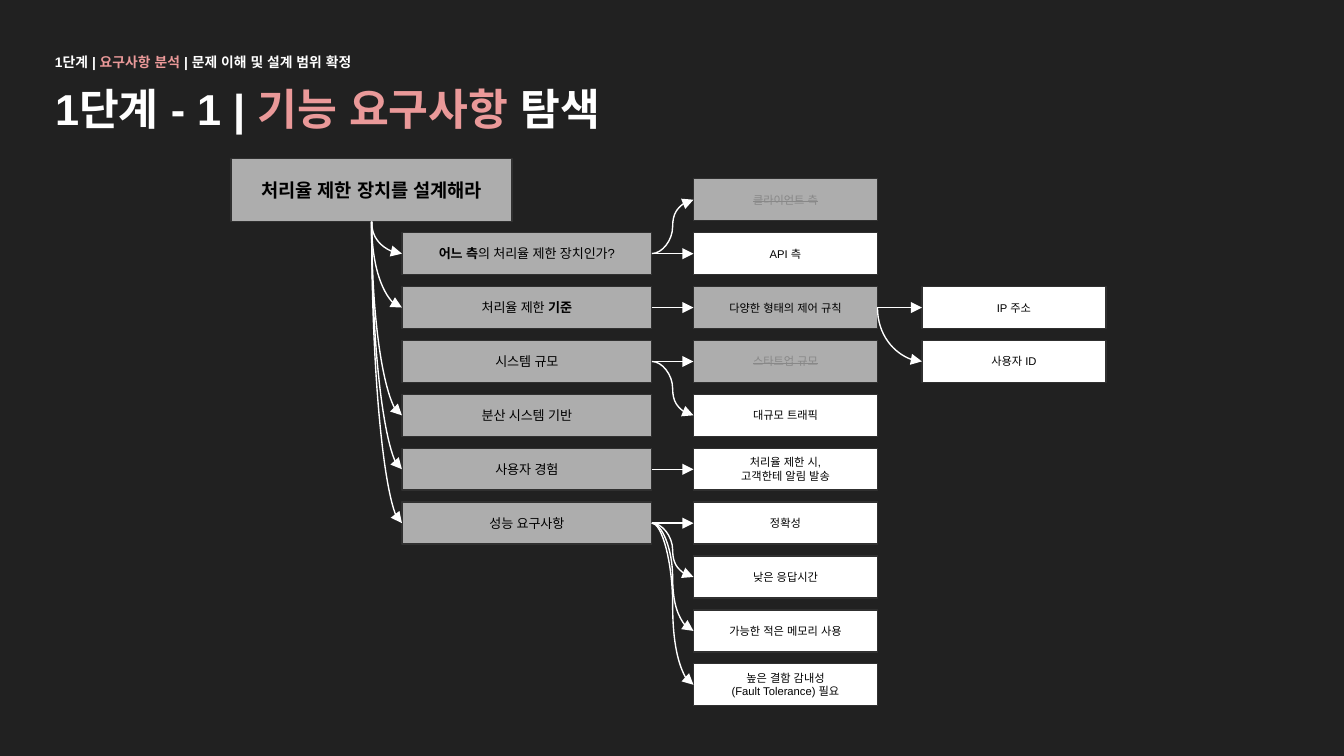
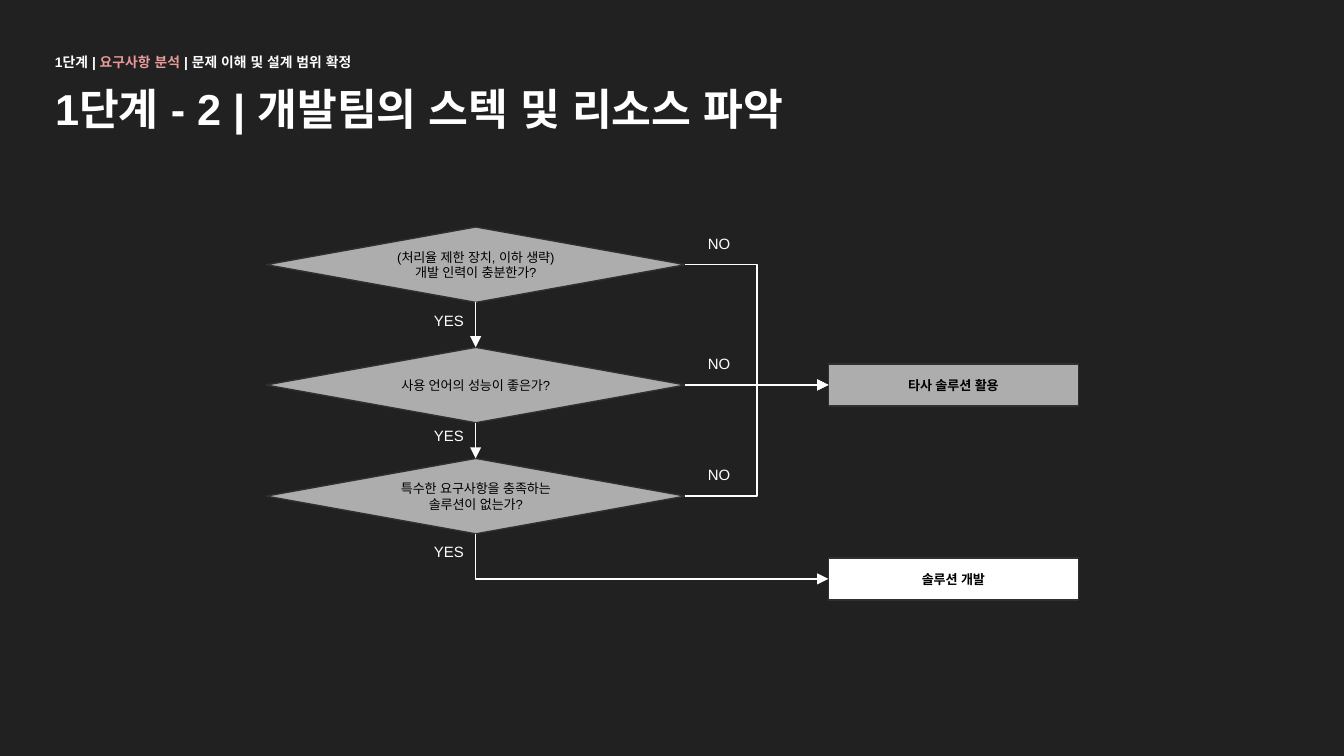
"""Build two dark slides: a requirements tree and a build-or-buy decision flow."""
from lxml.etree import SubElement
from pptx import Presentation
from pptx.dml.color import RGBColor
from pptx.enum.shapes import MSO_CONNECTOR, MSO_SHAPE
from pptx.enum.text import MSO_ANCHOR, MSO_AUTO_SIZE, PP_ALIGN
from pptx.oxml.ns import qn
from pptx.util import Pt

COLORS = {
    "background": "212121",
    "white": "FFFFFF",
    "accent": "EA9999",
    "gray": "ADADAD",
    "outline": "303030",
    "black": "000000",
    "rejected": "888888",
}
FONT = "Arial"
TOP, LEFT, BOTTOM, RIGHT = range(4)
BREADCRUMB = [("1단계 | ", {}), ("요구사항 분석", {"color": "accent"}),
              (" | 문제 이해 및 설계 범위 확정", {})]
ROW_TOP, ROW_PITCH, BOX_HEIGHT = 95.8, 28.87, 22.5
TOPIC_LEFT, TOPIC_WIDTH = 215.3, 133.9
ANSWER_LEFT, DETAIL_LEFT, ANSWER_WIDTH = 371.5, 493.9, 98.6
BOLD = {"bold": True}
REJECTED = {"color": "rejected", "strike": True}


def rgb(name):
    return RGBColor.from_string(COLORS[name])


def add_run(paragraph, text, size, color, bold=False, strike=False):
    run = paragraph.add_run()
    run.text = text
    run.font.name = FONT
    run.font.size = Pt(size)
    run.font.bold = bold
    run.font.color.rgb = rgb(color)
    properties = run._r.get_or_add_rPr()
    for script in ("a:ea", "a:cs"):
        SubElement(properties, qn(script)).set("typeface", FONT)
    if strike:
        properties.set("strike", "sngStrike")


def write(frame, segments, size, color, align=PP_ALIGN.LEFT, anchor=MSO_ANCHOR.TOP):
    """Fill a text frame with styled runs, turning newlines into line breaks."""
    frame.word_wrap = True
    frame.vertical_anchor = anchor
    frame.margin_left = frame.margin_right = Pt(7.2)
    frame.margin_top = frame.margin_bottom = Pt(7.2)
    paragraph = frame.paragraphs[0]
    paragraph.alignment = align
    for text, style in segments:
        for number, line in enumerate(text.split("\n")):
            if number:
                paragraph.add_line_break()
            add_run(paragraph, line, size, **{"color": color, **style})


def add_label(slide, left, top, width, height, segments, size):
    label = slide.shapes.add_textbox(Pt(left), Pt(top), Pt(width), Pt(height))
    write(label.text_frame, segments, size, "white")
    return label


def add_heading(slide, segments):
    title = slide.shapes.title
    title.left, title.top, title.width, title.height = Pt(22.3), Pt(36.7), Pt(671), Pt(45.4)
    title.text_frame.auto_size = MSO_AUTO_SIZE.NONE
    write(title.text_frame, segments, 23.2, "white")
    breadcrumb = [(text, {**BOLD, **style}) for text, style in BREADCRUMB]
    add_label(slide, 22.3, 24.5, 671, 22.3, breadcrumb, 7.4)


def add_node(slide, left, top, width, height, segments, size, fill="gray",
             outline=MSO_SHAPE.RECTANGLE):
    node = slide.shapes.add_shape(outline, Pt(left), Pt(top), Pt(width), Pt(height))
    node.shadow.inherit = False
    node.fill.solid()
    node.fill.fore_color.rgb = rgb(fill)
    node.line.color.rgb = rgb("outline")
    node.line.width = Pt(0.75)
    write(node.text_frame, segments, size, "black", PP_ALIGN.CENTER, MSO_ANCHOR.MIDDLE)
    return node


def add_arrow(slide, kind, source, source_side, target, target_side, down=False):
    """Glue an arrow between two nodes; with down it leaves the source vertically."""
    arrow = slide.shapes.add_connector(kind, 0, 0, 0, 0)
    arrow.begin_connect(source, source_side)
    arrow.end_connect(target, target_side)
    arrow.line.color.rgb = rgb("white")
    arrow.line.width = Pt(0.75)
    SubElement(arrow.line._get_or_add_ln(), qn("a:tailEnd")).set("type", "triangle")
    properties = arrow._element.spPr
    SubElement(properties, qn("a:effectLst"))
    if down:
        across, drop = arrow.width, arrow.height
        arrow.left += (across - drop) // 2
        arrow.top += (drop - across) // 2
        arrow.width, arrow.height = drop, across
        frame = properties.find(qn("a:xfrm"))
        frame.set("rot", "16200000")
        frame.set("flipH", "1")
        if across:
            geometry = properties.find(qn("a:prstGeom"))
            geometry.set("prst", geometry.get("prst").replace("3", "2"))


def add_row_node(slide, left, row, width, segments, size, fill="gray"):
    return add_node(slide, left, ROW_TOP + row * ROW_PITCH, width, BOX_HEIGHT,
                    segments, size, fill)


def build_requirements(slide):
    add_heading(slide, [("1단계 - 1 | ", BOLD),
                        ("기능 요구사항", {"color": "accent", **BOLD}), (" 탐색", BOLD)])
    goal = add_node(slide, 123.8, 85, 150.5, 33.8, [("처리율 제한 장치를 설계해라", BOLD)], 10)
    topics = [
        [("어느 측", BOLD), ("의 처리율 제한 장치인가?", {})],
        [("처리율 제한 ", {}), ("기준", BOLD)],
        [("시스템 규모", {})],
        [("분산 시스템 기반", {})],
        [("사용자 경험", {})],
        [("성능 요구사항", {})],
    ]
    unlinked_row = 3
    topic_nodes = {}
    for row, segments in enumerate(topics, 1):
        topic_nodes[row] = add_row_node(slide, TOPIC_LEFT, row, TOPIC_WIDTH, segments, 7)
        if row != unlinked_row:
            add_arrow(slide, MSO_CONNECTOR.CURVE, goal, BOTTOM, topic_nodes[row], LEFT, True)

    answers = [
        (1, "클라이언트 측", "gray", REJECTED),
        (1, "API 측", "white", {}),
        (2, "다양한 형태의 제어 규칙", "gray", {}),
        (3, "스타트업 규모", "gray", REJECTED),
        (3, "대규모 트래픽", "white", {}),
        (5, "처리율 제한 시,\n고객한테 알림 발송", "white", {}),
        (6, "정확성", "white", {}),
        (6, "낮은 응답시간", "white", {}),
        (6, "가능한 적은 메모리 사용", "white", {}),
        (6, "높은 결함 감내성\n(Fault Tolerance) 필요", "white", {}),
    ]
    answer_nodes = []
    for row, (topic, text, fill, style) in enumerate(answers):
        answer = add_row_node(slide, ANSWER_LEFT, row, ANSWER_WIDTH, [(text, style)], 6, fill)
        add_arrow(slide, MSO_CONNECTOR.CURVE, topic_nodes[topic], RIGHT, answer, LEFT)
        answer_nodes.append(answer)

    rules = answer_nodes[2]
    address, user = [
        add_row_node(slide, DETAIL_LEFT, row, ANSWER_WIDTH, [(text, {})], 6, "white")
        for row, text in enumerate(("IP 주소", "사용자 ID"), 2)
    ]
    add_arrow(slide, MSO_CONNECTOR.ELBOW, rules, RIGHT, address, LEFT)
    add_arrow(slide, MSO_CONNECTOR.CURVE, rules, RIGHT, user, LEFT, True)


def build_decisions(slide):
    add_heading(slide, [("1단계 - 2 | 개발팀의 스텍 및 리소스 파악", BOLD)])
    buy, build = [
        add_node(slide, 443.8, top, TOPIC_WIDTH, BOX_HEIGHT, [(text, BOLD)], 7, fill)
        for top, text, fill in ((195, "타사 솔루션 활용", "gray"),
                                (298.9, "솔루션 개발", "white"))
    ]
    questions = [
        (121.6, "(처리율 제한 장치, 이하 생략)\n개발 인력이 충분한가?"),
        (186.1, "사용 언어의 성능이 좋은가?"),
        (245.6, "특수한 요구사항을 충족하는 솔루션이 없는가?"),
    ]
    decisions = []
    for number, (top, text) in enumerate(questions):
        decision = add_node(slide, 142.6, top, 224.6, 40.4, [(text, {})], 7,
                            outline=MSO_SHAPE.DIAMOND)
        add_arrow(slide, MSO_CONNECTOR.ELBOW, decision, RIGHT, buy, LEFT)
        yes = add_label(slide, 225.4, 162 + 62 * number, 32.4, 24.5, [("YES", {})], 8)
        no = add_label(slide, 372.2, top - 1, 28.8, 24.5, [("NO", {})], 8)
        for label in (yes, no):
            label.text_frame.auto_size = MSO_AUTO_SIZE.SHAPE_TO_FIT_TEXT
        decisions.append(decision)
    for upper, lower in zip(decisions, decisions[1:]):
        add_arrow(slide, MSO_CONNECTOR.ELBOW, upper, BOTTOM, lower, TOP, True)
    add_arrow(slide, MSO_CONNECTOR.ELBOW, decisions[-1], BOTTOM, build, LEFT, True)


def main():
    deck = Presentation()
    deck.slide_width, deck.slide_height = Pt(720), Pt(405)
    backdrop = deck.slide_master.background.fill
    backdrop.solid()
    backdrop.fore_color.rgb = rgb("background")
    title_only = deck.slide_layouts[5]
    for build in (build_requirements, build_decisions):
        build(deck.slides.add_slide(title_only))
    deck.save("out.pptx")


if __name__ == "__main__":
    main()
